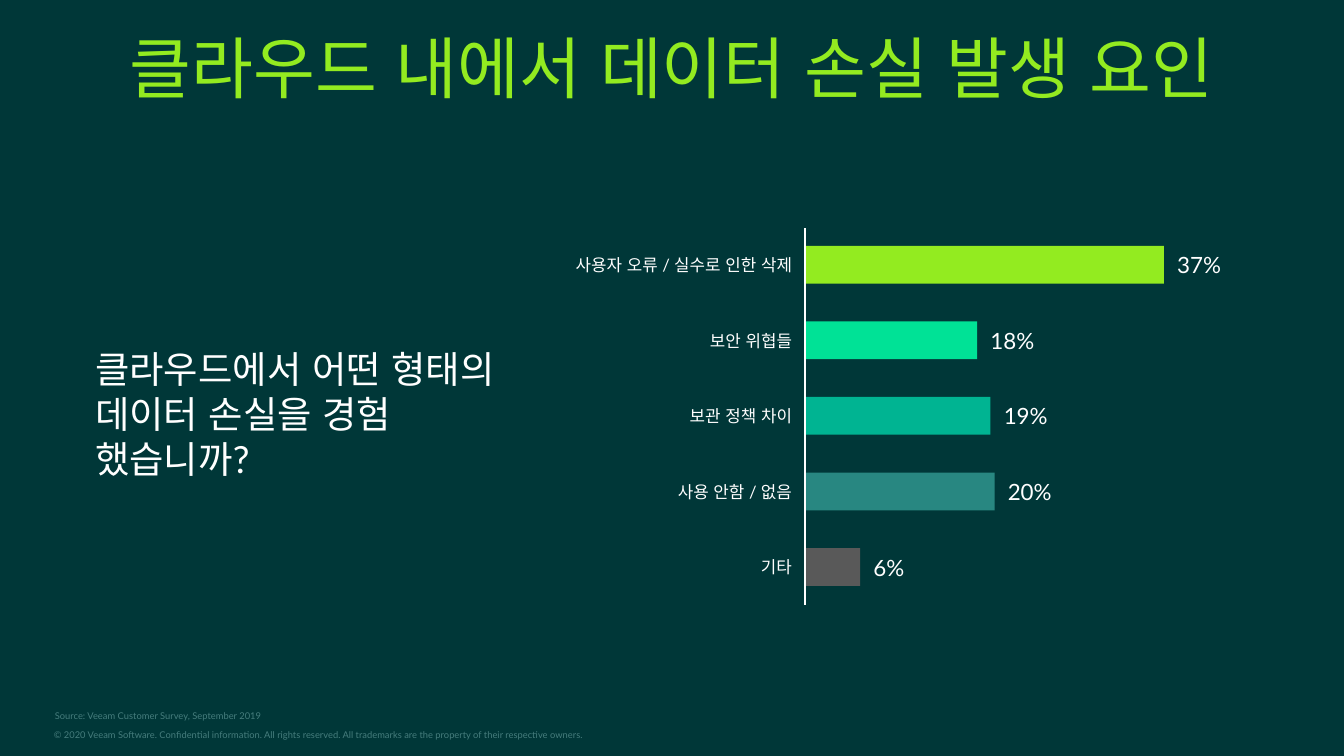
"""Build a slide on the causes of data loss in the cloud."""
import pptx
import pptx.dml.color
import pptx.enum.lang
import pptx.enum.shapes
import pptx.enum.text
import pptx.oxml.ns
import pptx.util
from lxml import etree

RGB = pptx.dml.color.RGBColor
ALIGN = pptx.enum.text.PP_ALIGN
ANCHOR = pptx.enum.text.MSO_ANCHOR
LANGUAGE = pptx.enum.lang.MSO_LANGUAGE_ID
inches = pptx.util.Inches

BACKGROUND = RGB(0x00, 0x37, 0x38)
LIME = RGB(0x93, 0xEB, 0x20)
MINT = RGB(0x00, 0xE2, 0x96)
GREEN = RGB(0x00, 0xB4, 0x92)
TEAL = RGB(0x28, 0x87, 0x81)
GRAY = RGB(0x59, 0x59, 0x59)
MUTED = RGB(0x46, 0x7D, 0x7D)
WHITE = RGB(0xFF, 0xFF, 0xFF)
FONT = "Lato"

HEADING = "클라우드 내에서 데이터 손실 발생 요인"
QUESTION = "클라우드에서 어떤 형태의 데이터 손실을 경험 했습니까?"
SOURCE = "Source: Veeam Customer Survey, September 2019"
COPYRIGHT = ("© 2020 Veeam Software. Confidential information. All rights reserved. "
             "All trademarks are the property of their respective owners.")
CAUSES = [
    ("사용자 오류 / 실수로 인한 삭제", "37%", 2.67, LIME),
    ("보안 위협들", "18%", 1.28, MINT),
    ("보관 정책 차이", "19%", 1.38, GREEN),
    ("사용 안함 / 없음", "20%", 1.41, TEAL),
    ("기타", "6%", 0.41, GRAY),
]

WIDTH = 10
HEIGHT = WIDTH * 9 / 16
AXIS_X, AXIS_TOP, AXIS_BOTTOM = 5.99, 1.7, 4.5
FIRST_ROW, LAST_ROW = 1.97, 4.22
PITCH = (LAST_ROW - FIRST_ROW) / (len(CAUSES) - 1)
BAR_HEIGHT = PITCH / 2
LABEL_WIDTH, LABEL_HEIGHT = 2.08, 0.25
VALUE_WIDTH, VALUE_HEIGHT = 0.78, 0.3


def write(frame, text, size, color, align=ALIGN.LEFT, language=LANGUAGE.KOREAN):
    frame.text = text
    paragraph = frame.paragraphs[0]
    paragraph.alignment = align
    font = paragraph.runs[0].font
    font.name, font.size, font.color.rgb = FONT, pptx.util.Pt(size), color
    font.language_id = language


def remove_insets(frame):
    frame.margin_left = frame.margin_right = frame.margin_top = frame.margin_bottom = 0


def add_text(shapes, box, text, size, color, wrap=True, **style):
    frame = shapes.add_textbox(*map(inches, box)).text_frame
    frame.word_wrap = wrap
    frame.vertical_anchor = ANCHOR.MIDDLE
    write(frame, text, size, color, **style)
    return frame


def add_bar(shapes, middle, length, color):
    bar = shapes.add_shape(
        pptx.enum.shapes.MSO_SHAPE.RECTANGLE,
        *map(inches, (AXIS_X, middle - BAR_HEIGHT / 2, length, BAR_HEIGHT)))
    bar.shadow.inherit = False
    bar.fill.solid()
    bar.fill.fore_color.rgb = color
    bar.line.fill.background()


def add_cause(shapes, row, label, percent, length, color):
    middle = FIRST_ROW + PITCH * row
    add_bar(shapes, middle, length, color)
    add_text(shapes, (AXIS_X - LABEL_WIDTH, middle - LABEL_HEIGHT / 2, LABEL_WIDTH, LABEL_HEIGHT),
             label, 9, WHITE, align=ALIGN.RIGHT)
    add_text(shapes, (AXIS_X + length, middle - VALUE_HEIGHT / 2, VALUE_WIDTH, VALUE_HEIGHT),
             percent, 12, WHITE)


def add_axis(shapes):
    axis = shapes.add_connector(
        pptx.enum.shapes.MSO_CONNECTOR.STRAIGHT,
        *map(inches, (AXIS_X, AXIS_TOP, AXIS_X, AXIS_BOTTOM)))
    axis.line.color.rgb = WHITE
    axis.line.width = pptx.util.Pt(1)
    etree.SubElement(axis._element.spPr, pptx.oxml.ns.qn("a:effectLst"))


def main():
    deck = pptx.Presentation()
    deck.slide_width, deck.slide_height = inches(WIDTH), inches(HEIGHT)
    slide = deck.slides.add_slide(deck.slide_layouts[5])
    slide.background.fill.solid()
    slide.background.fill.fore_color.rgb = BACKGROUND

    title = slide.shapes.title
    title.left, title.top, title.width, title.height = map(inches, (0.39, 0.19, 9.21, 0.61))
    remove_insets(title.text_frame)
    title.text_frame.vertical_anchor = ANCHOR.MIDDLE
    write(title.text_frame, HEADING, 36, LIME, ALIGN.CENTER)

    bars = slide.shapes.add_group_shape().shapes
    for row, cause in enumerate(CAUSES):
        add_cause(bars, row, *cause)
    add_axis(bars)

    add_text(slide.shapes, (0.61, 2.52, 3.28, 1.11), QUESTION, 20, WHITE)
    english = {"wrap": False, "language": LANGUAGE.ENGLISH_US}
    add_text(slide.shapes, (0.31, 5.23, 1.77, 0.19), SOURCE, 5, MUTED, **english)
    rights = add_text(slide.shapes, (0.4, 5.43, 4.01, 0.08), COPYRIGHT, 5, MUTED, **english)
    remove_insets(rights)
    deck.save("out.pptx")


if __name__ == "__main__":
    main()
